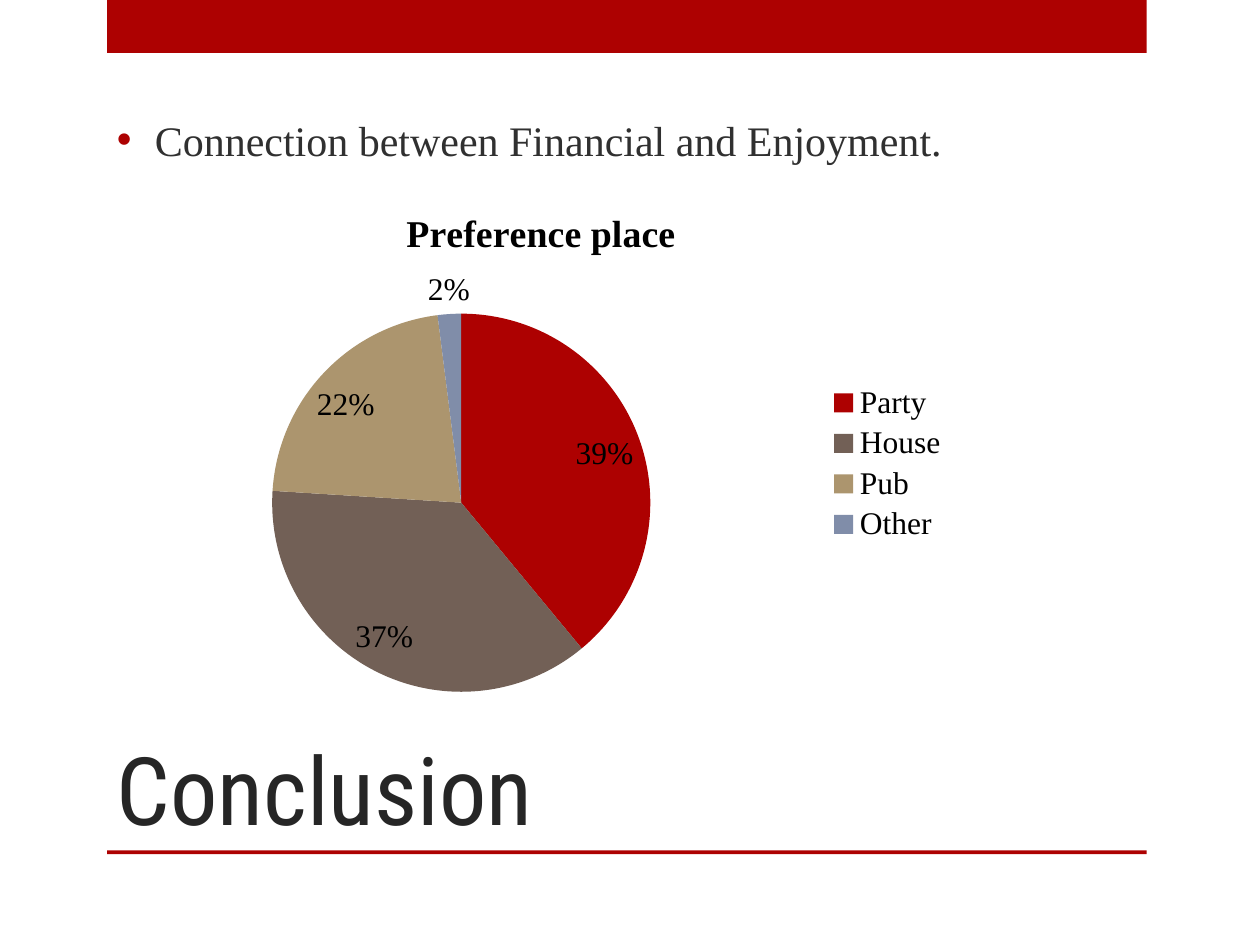
from lxml import etree
from pptx import Presentation
from pptx.chart.data import CategoryChartData
from pptx.dml.color import RGBColor
from pptx.enum.chart import XL_CHART_TYPE as ChartType
from pptx.enum.chart import XL_LABEL_POSITION as LabelPosition
from pptx.enum.chart import XL_LEGEND_POSITION as LegendPosition
from pptx.enum.shapes import MSO_SHAPE as Shape
from pptx.enum.text import MSO_ANCHOR as Anchor
from pptx.oxml import parse_xml
from pptx.oxml.ns import nsdecls, qn
from pptx.util import Pt

PX = 9144
RED = "AD0101"
SERIF = "Times New Roman"
PLACES = {
    "Party": (39, RED),
    "House": (37, "726056"),
    "Pub": (22, "AC956E"),
    "Other": (2, "808DA9"),
}
PIE_AREA = {"x": 0.18, "y": 0.23, "w": 0.45, "h": 0.68}


def px(*lengths):
    return [length * PX for length in lengths]


def color(value):
    return RGBColor.from_string(value)


def style_font(font, size, name, value, bold=False):
    font.size = Pt(size)
    font.name = name
    font.bold = bold
    font.color.rgb = color(value)


def add_bar(page, box):
    bar = page.shapes.add_shape(Shape.RECTANGLE, *px(*box))
    bar.shadow.inherit = False
    bar.fill.solid()
    bar.fill.fore_color.rgb = color(RED)
    bar.line.fill.background()


def add_text(page, box, text, anchor, size, name, value):
    frame = page.shapes.add_textbox(*px(*box)).text_frame
    frame.word_wrap = True
    frame.vertical_anchor = anchor
    frame.text = text
    para = frame.paragraphs[0]
    style_font(para.runs[0].font, size, name, value)
    return para


def add_bullet(para, indent):
    properties = para._p.get_or_add_pPr()
    properties.set("marL", str(indent * PX))
    properties.set("indent", str(-indent * PX))
    bullet_color = etree.SubElement(properties, qn("a:buClr"))
    etree.SubElement(bullet_color, qn("a:srgbClr"), val=RED)
    etree.SubElement(properties, qn("a:buFont"), typeface="Arial")
    etree.SubElement(properties, qn("a:buChar"), char="•")


def place_pie(chart):
    plot_area = chart._chartSpace.chart.plotArea
    for layout in plot_area.findall(qn("c:layout")):
        plot_area.remove(layout)
    sides = "".join(f'<c:{side} val="{PIE_AREA[side]}"/>' for side in "xywh")
    plot_area.insert(0, parse_xml(
        f'<c:layout {nsdecls("c")}><c:manualLayout>'
        '<c:layoutTarget val="inner"/>'
        '<c:xMode val="edge"/><c:yMode val="edge"/>'
        f'{sides}</c:manualLayout></c:layout>'))


def add_place_chart(page, box):
    data = CategoryChartData(number_format='0"%"')
    data.categories = list(PLACES)
    data.add_series("Series 1", [share for share, _ in PLACES.values()])
    chart = page.shapes.add_chart(ChartType.PIE, *px(*box), data).chart
    style_font(chart.font, 18, SERIF, "000000")

    chart.has_title = True
    title = chart.chart_title.text_frame
    title.text = "Preference place"
    style_font(title.paragraphs[0].runs[0].font, 21.6, SERIF, "000000", True)
    chart.chart_title.include_in_layout = False

    chart.has_legend = True
    chart.legend.position = LegendPosition.RIGHT
    chart.legend.include_in_layout = False

    plot = chart.plots[0]
    plot.vary_by_categories = True
    for index, (_, fill) in enumerate(PLACES.values()):
        slice_fill = plot.series[0].points[index].format.fill
        slice_fill.solid()
        slice_fill.fore_color.rgb = color(fill)

    plot.has_data_labels = True
    labels = plot.data_labels
    labels.show_value = True
    labels.number_format = '0"%"'
    labels.number_format_is_linked = False
    labels.position = LabelPosition.BEST_FIT
    style_font(labels.font, 18, SERIF, "000000")
    place_pie(chart)


def add_conclusion(page, box):
    left, top, width, height = box
    add_bar(page, (left, top, width, 42))
    add_bar(page, (left, top + height - 3, width, 3))
    add_text(page, (left - 2, top + 500, 742, 175), "Conclusion",
             Anchor.BOTTOM, 54, "Roboto Condensed", "262626")
    para = add_text(page, (left - 2, top + 75, width, 71),
                    "Connection between Financial and Enjoyment.",
                    Anchor.MIDDLE, 24, SERIF, "303030")
    add_bullet(para, 30)
    add_place_chart(page, (left + 11, top + 146, 667, 444))


def main():
    deck = Presentation()
    deck.slide_width, deck.slide_height = px(1000, 750)
    page = deck.slides.add_slide(deck.slide_layouts[6])
    add_conclusion(page, (85, 0, 825, 678))
    deck.save("out.pptx")


if __name__ == "__main__":
    main()
